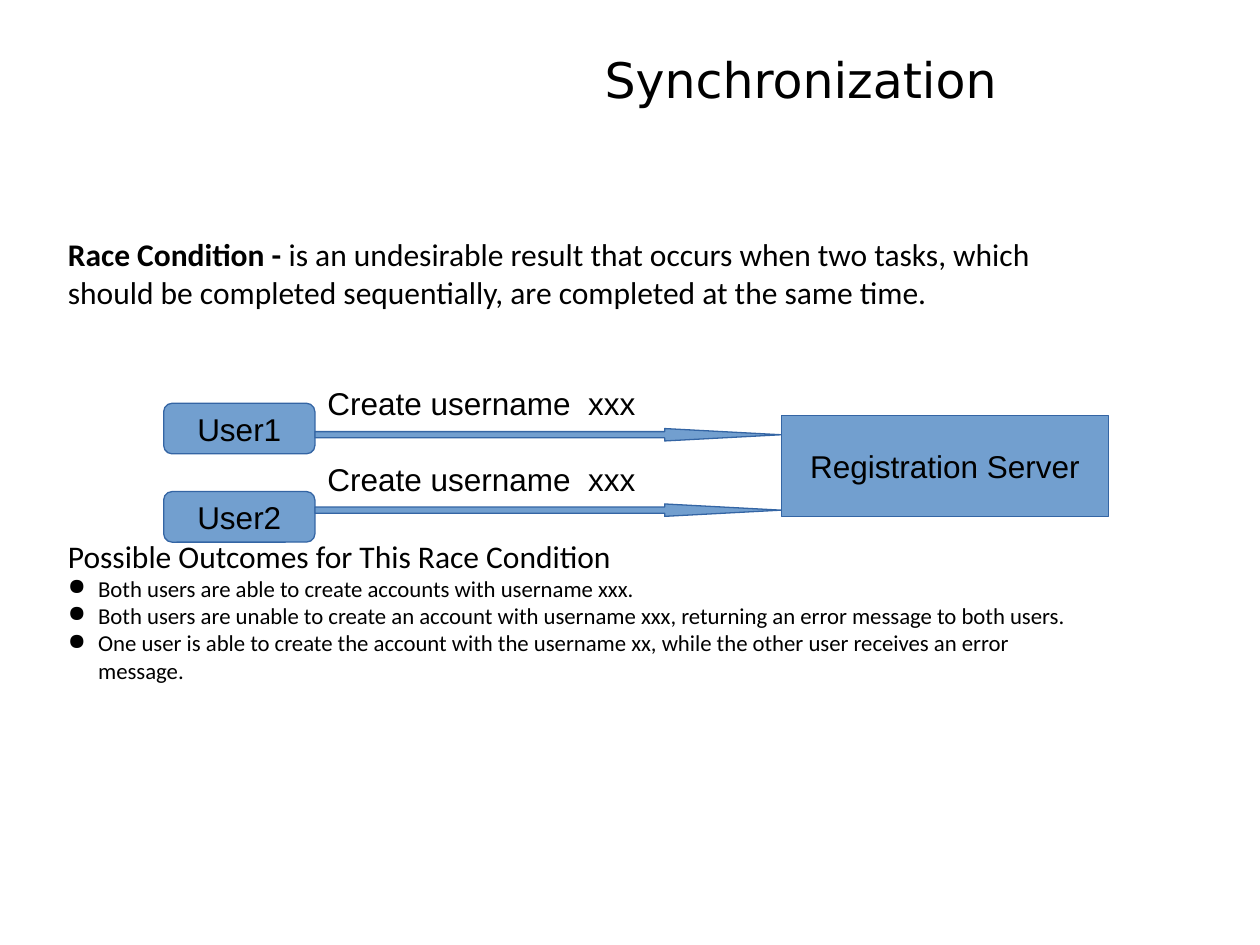
from dataclasses import dataclass
from pptx import Presentation
from pptx import util as u
from pptx.dml.color import RGBColor
from pptx.enum import shapes, text
from pptx.oxml import parse_xml
from pptx.oxml.ns import nsdecls


@dataclass(frozen=True)
class Theme:
    ink: str = "000000"
    fill: str = "729FCF"
    line: str = "3465A4"
    title_font: str = "DejaVu Sans"
    body_font: str = "Calibri"
    diagram_font: str = "Arial"
    title_size: float = 28
    text_size: float = 18
    bullet_size: float = 13


theme = Theme()

# Content
TITLE = "Synchronization"
TERM = "Race Condition - "
DEFINITION = ("is an undesirable result that occurs when two tasks, which should be "
              "completed sequentially, are completed at the same time.")
OUTCOMES_HEADING = "Possible Outcomes for This Race Condition"
OUTCOMES = [
    "Both users are able to create accounts with username xxx.",
    "Both users are unable to create an account with username xxx, "
    "returning an error message to both users.",
    "One user is able to create the account with the username xx, "
    "while the other user receives an error message.",
]
SERVER = "Registration Server"
USERS = ["User1", "User2"]
REQUEST = "Create username  xxx"

# Layout in centimetres
USER_LEFT, USER_TOP, USER_STEP = 3.3, 8.13, 1.78
USER_WIDTH, USER_HEIGHT = 3.05, 1.02
SERVER_LEFT, SERVER_TOP = 15.75, 8.38
ARROW_TOP, LABEL_TOP, REQUEST_STEP = 8.64, 7.62, 1.52
ARROW_LEFT = USER_LEFT + USER_WIDTH
ARROW_WIDTH, ARROW_HEIGHT = SERVER_LEFT - ARROW_LEFT, 0.25
HEAD_SHARE = 0.25
DIAGRAM_GAP = u.Pt(129)
HANG = u.Cm(0.61)

deck = Presentation()
deck.slide_width, deck.slide_height = u.Cm(25.4), u.Cm(19.05)
page = deck.slides.add_slide(deck.slide_layouts[6])


def style(para, font, size):
    for span in para.runs:
        span.font.name = font
        span.font.size = u.Pt(size)
        span.font.color.rgb = RGBColor.from_string(theme.ink)


def add_text(left, top, width, height):
    box = page.shapes.add_textbox(*map(u.Cm, (left, top, width, height)))
    box.text_frame.word_wrap = True
    return box.text_frame


def add_block(kind, left, top, width, height, label=""):
    block = page.shapes.add_shape(kind, *map(u.Cm, (left, top, width, height)))
    block.shadow.inherit = False
    block.fill.solid()
    block.fill.fore_color.rgb = RGBColor.from_string(theme.fill)
    block.line.color.rgb = RGBColor.from_string(theme.line)
    block.line.width = u.Pt(0.75)
    if label:
        frame = block.text_frame
        frame.text = label
        frame.word_wrap = False
        frame.vertical_anchor = text.MSO_ANCHOR.MIDDLE
        frame.paragraphs[0].alignment = text.PP_ALIGN.CENTER
        style(frame.paragraphs[0], theme.diagram_font, theme.text_size)
    return block


def add_bullet(para):
    props = para._p.get_or_add_pPr()
    props.set("marL", str(HANG))
    props.set("indent", str(-HANG))
    props.append(parse_xml(
        f'<a:buClr {nsdecls("a")}><a:srgbClr val="{theme.ink}"/></a:buClr>'))
    props.append(parse_xml(f'<a:buChar {nsdecls("a")} char="●"/>'))


# Title
title = add_text(8.15, 0.76, 15.98, 1.65)
title.text = TITLE
title.vertical_anchor = text.MSO_ANCHOR.MIDDLE
title.paragraphs[0].alignment = text.PP_ALIGN.CENTER
style(title.paragraphs[0], theme.title_font, theme.title_size)

# Definition and outcomes
body = add_text(1.12, 4.62, 21.03, 11.38)
definition = body.paragraphs[0]
for words, bold in ((TERM, True), (DEFINITION, False)):
    span = definition.add_run()
    span.text = words
    span.font.bold = bold
style(definition, theme.body_font, theme.text_size)

heading = body.add_paragraph()
heading.text = OUTCOMES_HEADING
heading.space_before = DIAGRAM_GAP
style(heading, theme.body_font, theme.text_size)

for outcome in OUTCOMES:
    para = body.add_paragraph()
    para.text = outcome
    add_bullet(para)
    style(para, theme.body_font, theme.bullet_size)

# Diagram: server, then one request per user
add_block(shapes.MSO_SHAPE.RECTANGLE, SERVER_LEFT, SERVER_TOP, 6.6, 2.03, SERVER)
for row, user in enumerate(USERS):
    add_block(shapes.MSO_SHAPE.ROUNDED_RECTANGLE, USER_LEFT,
              USER_TOP + row * USER_STEP, USER_WIDTH, USER_HEIGHT, user)
    drop = row * REQUEST_STEP
    arrow = add_block(shapes.MSO_SHAPE.RIGHT_ARROW, ARROW_LEFT,
                      ARROW_TOP + drop, ARROW_WIDTH, ARROW_HEIGHT)
    arrow.adjustments[1] = HEAD_SHARE * ARROW_WIDTH / ARROW_HEIGHT
    request = add_text(ARROW_LEFT, LABEL_TOP + drop, 7.11, 1.27)
    request.text = REQUEST
    style(request.paragraphs[0], theme.diagram_font, theme.text_size)

deck.save("out.pptx")
